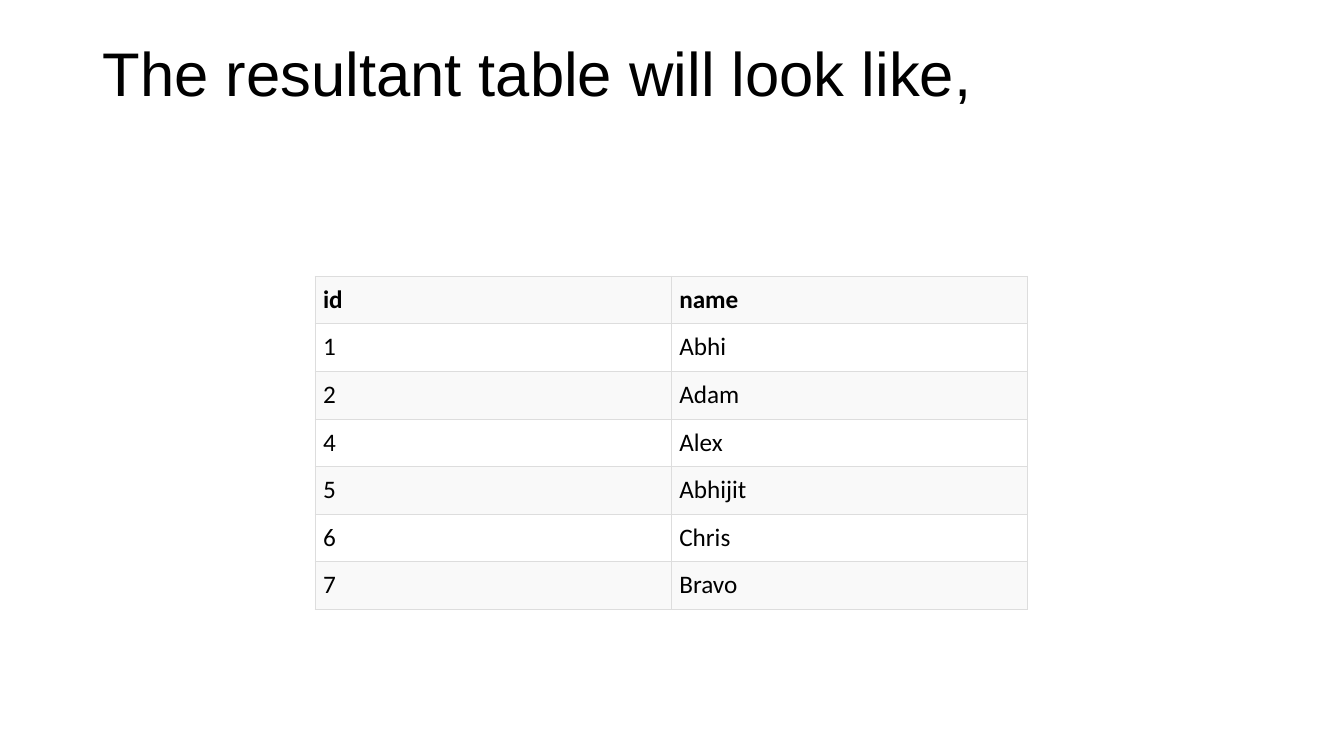
"""Build a slide with a title and a two-column result table."""
from dataclasses import dataclass

from lxml import etree
from pptx import Presentation
from pptx import util as u
from pptx.dml.color import RGBColor
from pptx.enum import text
from pptx.oxml.ns import qn


@dataclass(frozen=True)
class Theme:
    """Fonts, type sizes and colours of the slide."""
    title_font: str = "Arial"
    body_font: str = "Calibri"
    title_size: int = 44
    body_size: int = 18
    ink: str = "000000"
    bands: tuple = ("F9F9F9", "FFFFFF")
    border: str = "DDDDDD"
    border_width: float = 0.75


THEME = Theme()
TITLE = "The resultant table will look like,"
ROWS = [
    ("id", "name"),
    ("1", "Abhi"),
    ("2", "Adam"),
    ("4", "Alex"),
    ("5", "Abhijit"),
    ("6", "Chris"),
    ("7", "Bravo"),
]


def add_run(p, content, font, size, bold=False):
    """Append a formatted run to a paragraph."""
    r = p.add_run()
    r.text = content
    r.font.name = font
    r.font.size = u.Pt(size)
    r.font.bold = bold
    r.font.color.rgb = RGBColor.from_string(THEME.ink)


def set_title(s, content):
    """Place the title placeholder and fill its upper line."""
    sp = s.shapes.title
    sp.left, sp.top = u.Cm(2.33), u.Cm(1.01)
    sp.width, sp.height = u.Cm(29.21), u.Cm(3.68)
    tf = sp.text_frame
    tf.word_wrap = True
    tf.auto_size = text.MSO_AUTO_SIZE.NONE
    tf.vertical_anchor = text.MSO_ANCHOR.MIDDLE
    p = tf.paragraphs[0]
    p.alignment = text.PP_ALIGN.LEFT
    p.line_spacing = 0.9
    add_run(p, content, THEME.title_font, THEME.title_size)
    p.add_line_break()


def set_borders(cell):
    """Draw the four thin borders of a cell."""
    props = cell._tc.get_or_add_tcPr()
    for side in ("a:lnL", "a:lnR", "a:lnT", "a:lnB"):
        ln = etree.SubElement(props, qn(side), w=str(u.Pt(THEME.border_width)))
        fill = etree.SubElement(ln, qn("a:solidFill"))
        etree.SubElement(fill, qn("a:srgbClr"), val=THEME.border)


def format_cell(cell, content, band, bold):
    """Write and style one table cell."""
    set_borders(cell)
    cell.fill.solid()
    cell.fill.fore_color.rgb = RGBColor.from_string(band)
    cell.margin_left = cell.margin_right = u.Cm(0.2)
    cell.margin_top = cell.margin_bottom = u.Cm(0.2)
    p = cell.text_frame.paragraphs[0]
    add_run(p, content, THEME.body_font, THEME.body_size, bold)


def add_result_table(s, rows):
    """Add the banded table with a bold header row."""
    frame = s.shapes.add_table(
        len(rows), len(rows[0]), u.Cm(7.94), u.Cm(6.96),
        u.Cm(17.96), u.Cm(1.2 * len(rows)))
    table = frame.table
    table.horz_banding = False
    for i, row in enumerate(rows):
        for j, content in enumerate(row):
            band = THEME.bands[i % len(THEME.bands)]
            format_cell(table.cell(i, j), content, band, i == 0)


def main():
    """Build and save the slide."""
    prs = Presentation()
    prs.slide_width, prs.slide_height = u.Cm(33.87), u.Cm(19.05)
    s = prs.slides.add_slide(prs.slide_layouts.get_by_name("Title Only"))
    set_title(s, TITLE)
    add_result_table(s, ROWS)
    prs.save("out.pptx")


main()
